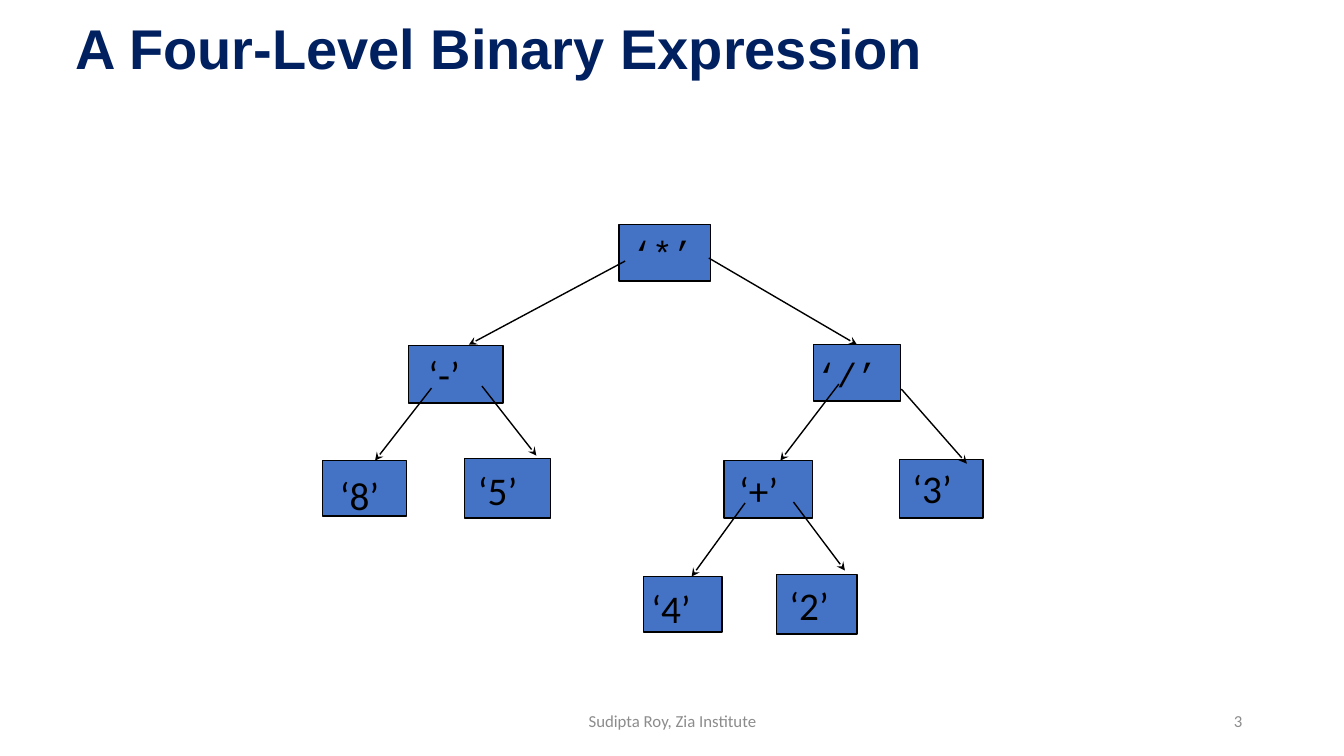
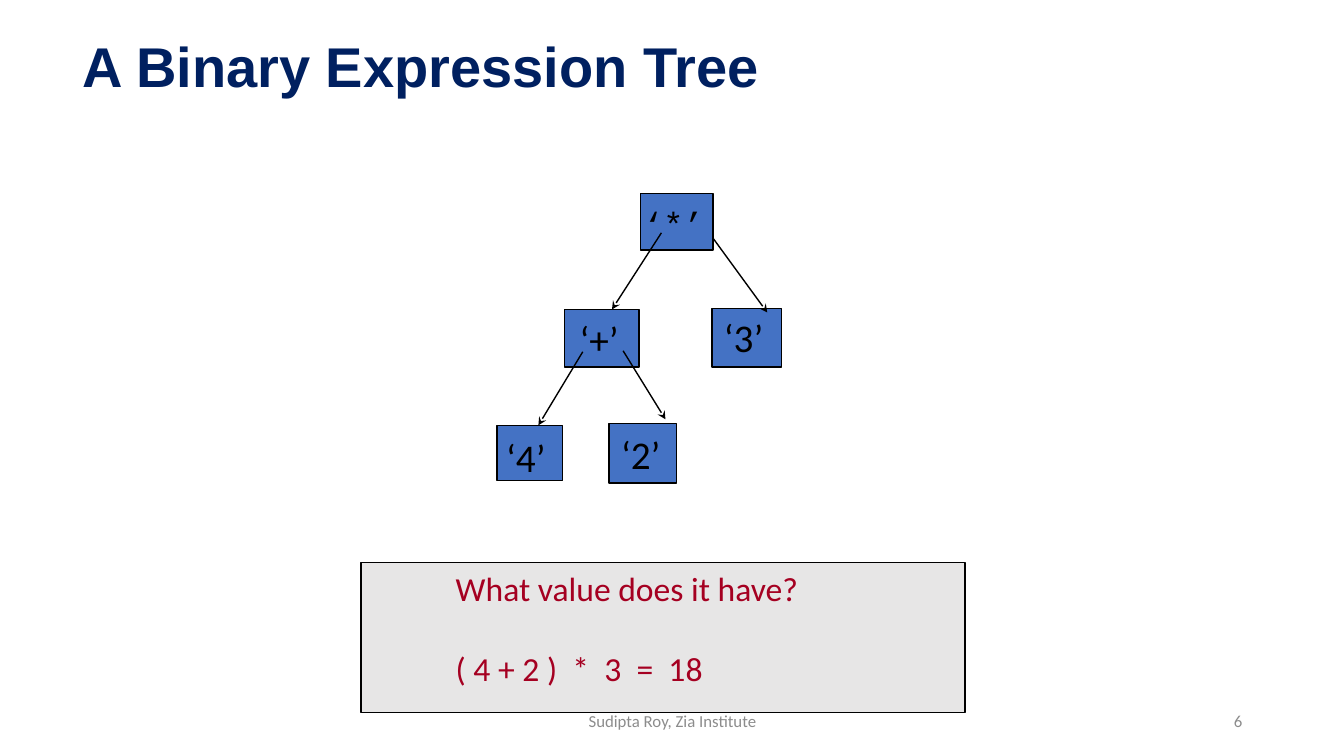
"""Build two slides that show binary expression trees."""
from dataclasses import dataclass

from lxml.etree import SubElement
from pptx import Presentation
from pptx.dml.color import RGBColor
from pptx.enum.shapes import MSO_CONNECTOR as Connector
from pptx.enum.shapes import MSO_SHAPE as Shape
from pptx.enum.text import MSO_ANCHOR as Anchor
from pptx.enum.text import PP_ALIGN as Align
from pptx.oxml.ns import qn
from pptx.util import Pt

PX = 9144
SLIDE_WIDTH, SLIDE_HEIGHT = 1333, 750
SNAP = 2

NAVY = RGBColor(0x00, 0x20, 0x60)
BLUE = RGBColor(0x44, 0x72, 0xC4)
BLACK = RGBColor(0x00, 0x00, 0x00)
GRAY = RGBColor(0x8C, 0x8C, 0x8C)
PALE = RGBColor(0xE7, 0xE6, 0xE6)
CRIMSON = RGBColor(0xA5, 0x00, 0x21)

BODY_FONT, TITLE_FONT, CODE_FONT = "Calibri", "Arial", "Courier New"
FOOTER = "Sudipta Roy, Zia Institute"


@dataclass(frozen=True)
class Area:
    left: int
    top: int
    width: int
    height: int

    def emu(self) -> tuple[int, int, int, int]:
        return self.left * PX, self.top * PX, self.width * PX, self.height * PX


@dataclass(frozen=True)
class Style:
    size: int
    color: RGBColor
    font: str = BODY_FONT
    bold: bool = False
    align: Align = Align.LEFT
    line_spacing: float = 1.0
    gap: int = 0


@dataclass(frozen=True)
class Node:
    symbol: str
    area: Area
    indent: int
    drop: int


@dataclass(frozen=True)
class Branch:
    child: str
    start: tuple[int, int]
    end: tuple[int, int]


@dataclass(frozen=True)
class TreePage:
    number: int
    title: str
    title_area: Area
    nodes: tuple[Node, ...]
    branches: tuple[Branch, ...]


TITLE = Style(40, NAVY, TITLE_FONT, bold=True, line_spacing=0.9)
FOOTER_TEXT = Style(12, GRAY, align=Align.CENTER)
PAGE_NUMBER = Style(12, GRAY, align=Align.RIGHT)
QUESTION = Style(24, CRIMSON, gap=29)
OPERAND = Style(28, BLACK)
WIDE_OPERATOR = Style(24, BLACK, CODE_FONT)
NODE_STYLES = {"*": WIDE_OPERATOR, "/": WIDE_OPERATOR}

FOUR_LEVELS = TreePage(
    3, "A Four-Level Binary Expression", Area(65, 9, 1167, 83),
    (
        Node("*", Area(614, 223, 91, 56), 13, 7),
        Node("-", Area(405, 343, 94, 57), 20, 5),
        Node("8", Area(320, 457, 83, 55), 17, 11),
        Node("5", Area(461, 455, 85, 59), 13, 8),
        Node("/", Area(807, 342, 86, 56), 3, 9),
        Node("+", Area(718, 457, 88, 57), 15, 6),
        Node("3", Area(892, 456, 83, 58), 13, 5),
        Node("4", Area(638, 572, 78, 55), 8, 8),
        Node("2", Area(770, 570, 80, 59), 13, 7),
    ),
    (
        Branch("-", (620, 259), (465, 342)),
        Branch("/", (703, 256), (849, 344)),
        Branch("8", (428, 385), (372, 457)),
        Branch("5", (478, 383), (532, 452)),
        Branch("+", (832, 381), (774, 457)),
        Branch("3", (894, 386), (959, 460)),
        Branch("4", (739, 499), (686, 572)),
        Branch("2", (787, 498), (838, 566)),
    ),
)

THREE_LEVELS = TreePage(
    6, "A Binary Expression Tree", Area(72, 6, 1178, 125),
    (
        Node("*", Area(635, 192, 72, 56), 3, 9),
        Node("+", Area(560, 307, 74, 57), 15, 6),
        Node("3", Area(706, 306, 69, 58), 12, 5),
        Node("4", Area(493, 422, 65, 55), 9, 8),
        Node("2", Area(604, 420, 67, 59), 12, 7),
    ),
    (
        Branch("+", (656, 231), (607, 307)),
        Branch("3", (707, 236), (761, 310)),
        Branch("4", (578, 349), (534, 422)),
        Branch("2", (618, 348), (660, 416)),
    ),
)


def write(box, lines: list[str], style: Style) -> None:
    """Fill a box with one styled paragraph per line."""
    frame = box.text_frame
    frame.word_wrap = True
    for index, line in enumerate(lines):
        para = frame.add_paragraph() if index else frame.paragraphs[0]
        para.text = line
        para.alignment = style.align
        para.line_spacing = style.line_spacing
        if index:
            para.space_before = Pt(style.gap)
        font = para.font
        font.name, font.size, font.bold = style.font, Pt(style.size), style.bold
        font.color.rgb = style.color


def add_text(page, area: Area, text: str, style: Style) -> None:
    """Add a vertically centred text box."""
    box = page.shapes.add_textbox(*area.emu())
    box.text_frame.vertical_anchor = Anchor.MIDDLE
    write(box, [text], style)


def add_panel(page, area: Area, fill: RGBColor, lines: list[str],
              style: Style, indent: int, drop: int):
    """Add an outlined rectangle with text set in from its top left corner."""
    box = page.shapes.add_shape(Shape.RECTANGLE, *area.emu())
    box.shadow.inherit = False
    box.fill.solid()
    box.fill.fore_color.rgb = fill
    box.line.color.rgb = BLACK
    box.line.width = Pt(1)
    frame = box.text_frame
    frame.vertical_anchor = Anchor.TOP
    frame.margin_left, frame.margin_top = indent * PX, drop * PX
    frame.margin_right = frame.margin_bottom = 0
    write(box, lines, style)
    return box


def add_branch(page, branch: Branch, box, area: Area) -> None:
    """Draw an arrow to a child, joined where it meets the middle of its top."""
    points = (value * PX for value in branch.start + branch.end)
    arrow = page.shapes.add_connector(Connector.STRAIGHT, *points)
    arrow.line.color.rgb = BLACK
    arrow.line.width = Pt(1)
    SubElement(arrow.line._get_or_add_ln(), qn("a:tailEnd"), type="stealth")
    SubElement(arrow._element.spPr, qn("a:effectLst"))
    x, y = branch.end
    if abs(x - area.left - area.width / 2) <= SNAP and abs(y - area.top) <= SNAP:
        arrow.end_connect(box, 0)


def add_tree_page(deck, content: TreePage):
    """Add a slide with its title, tree, footer and number."""
    page = deck.slides.add_slide(deck.slide_layouts[6])
    add_text(page, content.title_area, content.title, TITLE)
    boxes = {}
    for node in content.nodes:
        style = NODE_STYLES.get(node.symbol, OPERAND)
        box = add_panel(page, node.area, BLUE, [f"‘{node.symbol}’"],
                        style, node.indent, node.drop)
        boxes[node.symbol] = box, node.area
    for branch in content.branches:
        add_branch(page, branch, *boxes[branch.child])
    add_text(page, Area(442, 695, 450, 40), FOOTER, FOOTER_TEXT)
    add_text(page, Area(942, 695, 300, 40), str(content.number), PAGE_NUMBER)
    return page


def main() -> None:
    """Build and save the deck."""
    deck = Presentation()
    deck.slide_width, deck.slide_height = SLIDE_WIDTH * PX, SLIDE_HEIGHT * PX
    add_tree_page(deck, FOUR_LEVELS)
    page = add_tree_page(deck, THREE_LEVELS)
    add_panel(page, Area(358, 558, 599, 149), PALE,
              ["What value does it have?", "( 4 + 2 )  *  3  =  18"],
              QUESTION, 94, 5)
    deck.save("out.pptx")


if __name__ == "__main__":
    main()
